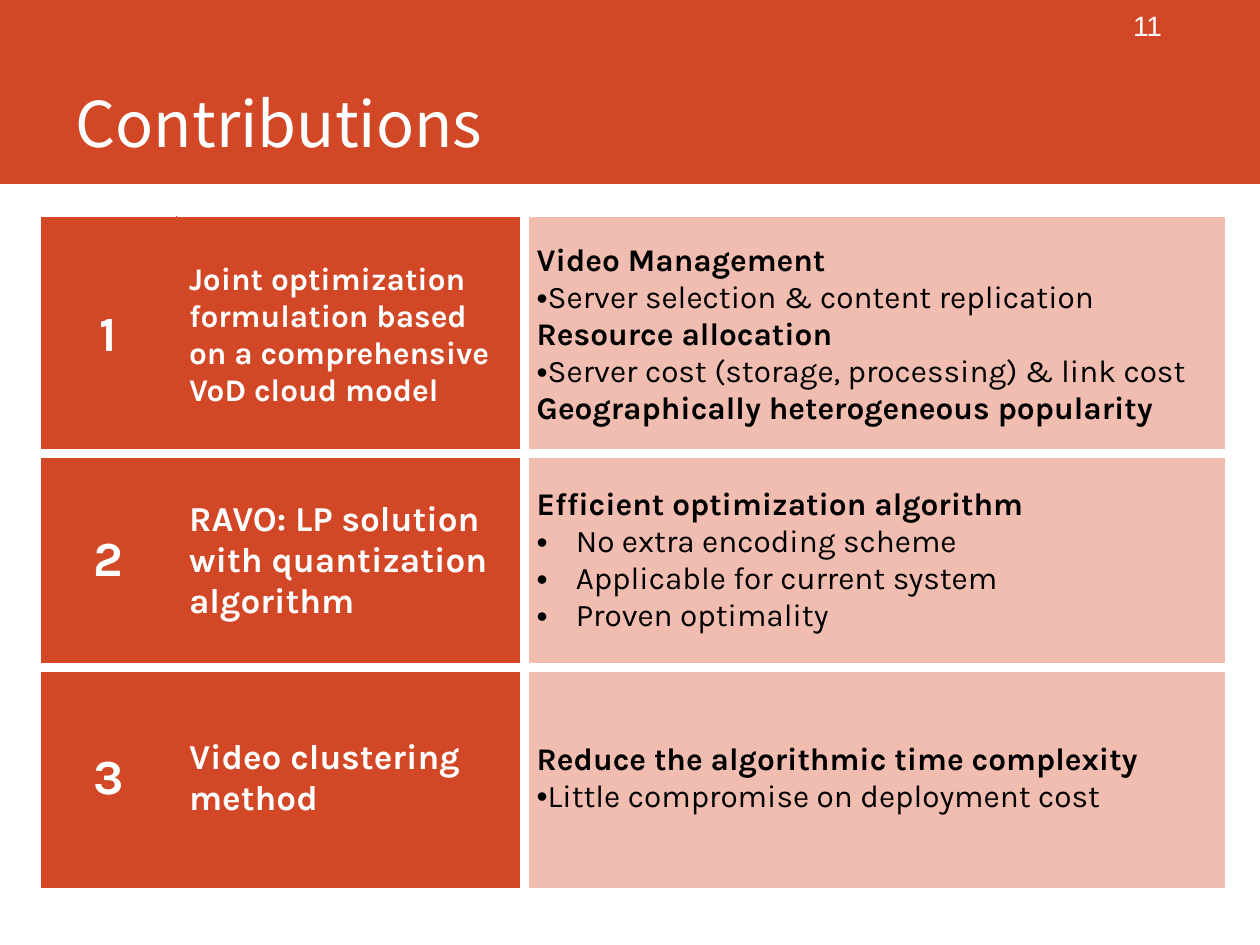
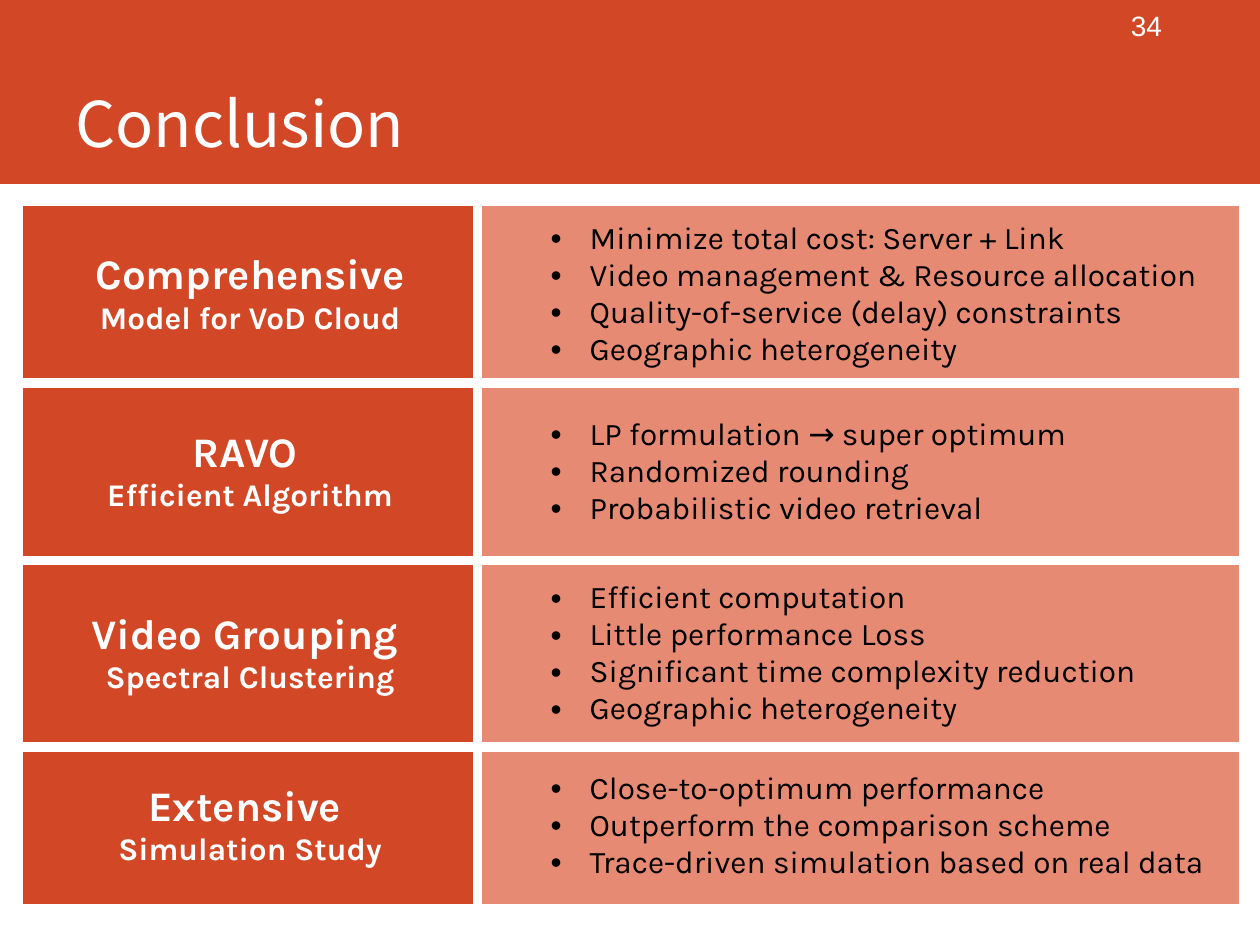
from dataclasses import dataclass
from lxml import etree
from pptx import Presentation
from pptx import util as u
from pptx.dml import color
from pptx.enum import shapes, text
from pptx.oxml import ns


# Colours, fonts and type sizes
@dataclass(frozen=True)
class Theme:
    accent: str = "D24726"
    pale: str = "F1BDB1"
    medium: str = "E68A74"
    white: str = "FFFFFF"
    black: str = "000000"
    title_font: str = "Noto Sans CJK SC"
    table_font: str = "Karla"
    number_font: str = "Arial"
    title_size: int = 36
    index_size: int = 28
    heading_size: int = 24
    label_size: int = 20
    body_size: int = 18
    number_size: int = 16
    thin: int = 1
    thick: int = 6


THEME = Theme()


@dataclass(frozen=True)
class Line:
    text: str
    size: int = THEME.body_size
    bold: bool = True
    bullet: bool = False
    margin: float = 0
    hanging: float = 0


@dataclass(frozen=True)
class Column:
    width: float
    fill: str
    ink: str
    centred: bool = False
    joins_next: bool = False


def bullets(*items, margin=0, hanging=0):
    return [Line(item, bold=False, bullet=True, margin=margin, hanging=hanging)
            for item in items]


class Deck:
    def __init__(self, theme):
        self.theme = theme
        self.presentation = Presentation()
        self.presentation.slide_width = u.Inches(10)
        self.presentation.slide_height = u.Inches(7.5)
        self.layout = self.presentation.slide_layouts.get_by_name("Title Only")
        self.slide = None

    def add_slide(self, title, number):
        first = self.slide is None
        self.slide = self.presentation.slides.add_slide(self.layout)
        if first:
            self.add_band()
        self.add_title(title)
        self.add_number(number)

    def add_band(self):
        """Draw the title band and hand it to the shared layout."""
        band = self.slide.shapes.add_shape(
            shapes.MSO_SHAPE.RECTANGLE, 0, 0, u.Inches(10), u.Inches(1.46))
        band.shadow.inherit = False
        band.fill.solid()
        band.fill.fore_color.rgb = color.RGBColor.from_string(self.theme.accent)
        band.line.fill.background()
        self.layout.shapes.element.insert(2, band.element)

    def add_run(self, paragraph, words, font, size, ink, bold=False):
        run = paragraph.add_run()
        run.text = words
        run.font.name = font
        run.font.size = u.Pt(size)
        run.font.bold = bold
        run.font.color.rgb = color.RGBColor.from_string(ink)

    def add_title(self, words):
        title = self.slide.shapes.title
        title.left, title.top = u.Inches(0.5), u.Inches(0)
        title.width, title.height = u.Inches(8.82), u.Inches(1.32)
        frame = title.text_frame
        frame.auto_size = text.MSO_AUTO_SIZE.NONE
        frame.vertical_anchor = text.MSO_ANCHOR.BOTTOM
        paragraph = frame.paragraphs[0]
        paragraph.alignment = text.PP_ALIGN.LEFT
        self.add_run(paragraph, words, self.theme.title_font,
                     self.theme.title_size, self.theme.white)

    def add_number(self, number):
        box = self.slide.shapes.add_textbox(
            u.Inches(6.63), 0, u.Inches(2.69), u.Inches(0.4))
        frame = box.text_frame
        frame.word_wrap = True
        frame.vertical_anchor = text.MSO_ANCHOR.MIDDLE
        paragraph = frame.paragraphs[0]
        paragraph.alignment = text.PP_ALIGN.RIGHT
        self.add_run(paragraph, str(number), self.theme.number_font,
                     self.theme.number_size, self.theme.white)

    def add_border(self, cell, side, ink, width):
        properties = cell._tc.get_or_add_tcPr()
        border = etree.SubElement(properties, ns.qn(f"a:ln{side}"),
                                  w=str(u.Pt(width)))
        fill = etree.SubElement(border, ns.qn("a:solidFill"))
        etree.SubElement(fill, ns.qn("a:srgbClr"), val=ink)

    def add_line(self, paragraph, line, column):
        paragraph.alignment = (text.PP_ALIGN.CENTER if column.centred
                               else text.PP_ALIGN.LEFT)
        properties = paragraph._p.get_or_add_pPr()
        properties.set("marL", str(u.Inches(line.margin)))
        properties.set("indent", str(-u.Inches(line.hanging)))
        if line.bullet:
            etree.SubElement(properties, ns.qn("a:buFont"), typeface="Arial")
            etree.SubElement(properties, ns.qn("a:buChar"), char="•")
        self.add_run(paragraph, line.text, self.theme.table_font, line.size,
                     column.ink, line.bold)

    def add_table(self, left, top, columns, heights, rows):
        width = sum(column.width for column in columns)
        table = self.slide.shapes.add_table(
            len(rows), len(columns), u.Inches(left), u.Inches(top),
            u.Inches(width), u.Inches(sum(heights))).table
        table.first_row = table.horz_banding = False
        for index, column in enumerate(columns):
            table.columns[index].width = u.Inches(column.width)
        for row, (height, contents) in enumerate(zip(heights, rows)):
            table.rows[row].height = u.Inches(height)
            for index, lines in enumerate(contents):
                self.fill_cell(table, row, index, columns, lines)

    def fill_cell(self, table, row, index, columns, lines):
        cell, column = table.cell(row, index), columns[index]
        # Outer edges are thin, gaps between cells thick, joined cells seamless
        outer = {"L": index == 0, "R": index == len(columns) - 1,
                 "T": row == 0, "B": row == len(table.rows) - 1}
        joined = {"L": index > 0 and columns[index - 1].joins_next,
                  "R": column.joins_next}
        for side, is_outer in outer.items():
            seamless = joined.get(side, False)
            self.add_border(
                cell, side,
                self.theme.accent if seamless else self.theme.white,
                self.theme.thin if is_outer or seamless else self.theme.thick)
        cell.fill.solid()
        cell.fill.fore_color.rgb = color.RGBColor.from_string(column.fill)
        cell.vertical_anchor = text.MSO_ANCHOR.MIDDLE
        frame = cell.text_frame
        for position, line in enumerate(lines):
            paragraph = frame.add_paragraph() if position else frame.paragraphs[0]
            self.add_line(paragraph, line, column)


def build_contributions(deck):
    theme = deck.theme
    deck.add_slide("Contributions", 11)
    columns = [Column(1.08, theme.accent, theme.white, True, True),
               Column(2.76, theme.accent, theme.white),
               Column(5.57, theme.pale, theme.black)]
    contributions = [
        (Line("Joint optimization formulation based on a comprehensive "
              "VoD cloud model"),
         [Line("Video Management"),
          *bullets("Server selection & content replication"),
          Line("Resource allocation"),
          *bullets("Server cost (storage, processing) & link cost"),
          Line("Geographically heterogeneous popularity")]),
        (Line("RAVO: LP solution with quantization algorithm", theme.label_size),
         [Line("Efficient optimization algorithm"),
          *bullets("No extra encoding scheme", "Applicable for current system",
                   "Proven optimality", margin=0.31, hanging=0.31)]),
        (Line("Video clustering method", theme.label_size),
         [Line("Reduce the algorithmic time complexity"),
          *bullets("Little compromise on deployment cost")]),
    ]
    rows = [([Line(str(index), theme.index_size)], [label], details)
            for index, (label, details) in enumerate(contributions, 1)]
    deck.add_table(0.32, 1.72, columns, [1.88, 1.7, 1.75], rows)


def build_conclusion(deck):
    theme = deck.theme
    deck.add_slide("Conclusion", 34)
    columns = [Column(3.61, theme.accent, theme.white, True),
               Column(6.05, theme.medium, theme.black)]
    conclusions = [
        ("Comprehensive", "Model for VoD Cloud",
         ["Minimize total cost: Server + Link",
          "Video management & Resource allocation",
          "Quality-of-service (delay) constraints", "Geographic heterogeneity"]),
        ("RAVO ", "Efficient Algorithm",
         ["LP formulation → super optimum", "Randomized rounding",
          "Probabilistic video retrieval"]),
        ("Video Grouping ", "Spectral Clustering",
         ["Efficient computation", "Little performance Loss",
          "Significant time complexity reduction", "Geographic heterogeneity"]),
        ("Extensive ", "Simulation Study",
         ["Close-to-optimum performance", "Outperform the comparison scheme",
          "Trace-driven simulation based on real data"]),
    ]
    rows = [([Line(heading, theme.heading_size), Line(subheading)],
             bullets(*points, margin=0.79, hanging=0.31))
            for heading, subheading, points in conclusions]
    deck.add_table(0.18, 1.63, columns, [1.41, 1.41, 1.48, 1.25], rows)


def main():
    deck = Deck(THEME)
    build_contributions(deck)
    build_conclusion(deck)
    deck.presentation.save("out.pptx")


if __name__ == "__main__":
    main()
